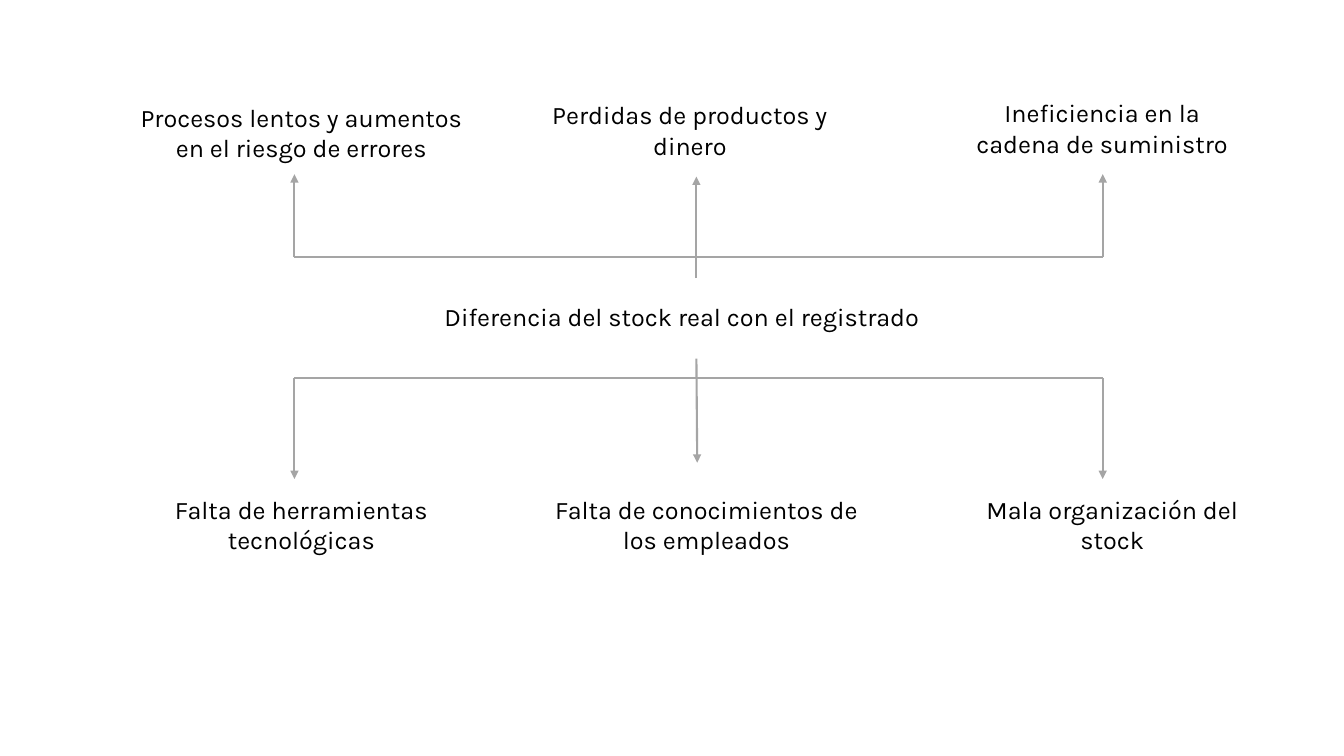
import pptx
import pptx.dml.color
import pptx.enum.shapes
import pptx.enum.text
import pptx.oxml.ns
import pptx.util
from lxml import etree

Cm = pptx.util.Cm
BLACK = pptx.dml.color.RGBColor(0x00, 0x00, 0x00)
GREY = pptx.dml.color.RGBColor(0xA5, 0xA5, 0xA5)
FONT = "Karla"

# Columns of the tree, in centimetres
LEFT_X, MIDDLE_X, RIGHT_X = 7.42, 17.55, 27.79
EFFECTS_BAR_Y, CAUSES_BAR_Y = 6.48, 9.53
CAUSES_TOP = 12.32
LABEL_HEIGHT = 1.8

# Text, left, top, width
EFFECTS = [
    ("Procesos lentos y aumentos en el riesgo de errores", 3.1, 2.46, 8.99),
    ("Perdidas de productos y dinero", 13.46, 2.39, 7.85),
    ("Ineficiencia en la cadena de suministro", 23.98, 2.34, 7.59),
]
CAUSES = [
    ("Falta de herramientas tecnológicas", 3.25, CAUSES_TOP, 8.69),
    ("Falta de conocimientos de los empleados", 13.46, CAUSES_TOP, 8.69),
    ("Mala organización del stock", 24.36, CAUSES_TOP, 7.34),
]

# Start x, start y, end x, end y
ARROWS = [
    (LEFT_X, EFFECTS_BAR_Y, LEFT_X, 4.39),
    (MIDDLE_X, 7.01, MIDDLE_X, 4.45),
    (RIGHT_X, EFFECTS_BAR_Y, RIGHT_X, 4.39),
    (LEFT_X, CAUSES_BAR_Y, LEFT_X, 12.07),
    (MIDDLE_X, 9.04, MIDDLE_X + 0.02, 11.66),
    (RIGHT_X, CAUSES_BAR_Y, RIGHT_X, 12.07),
]
BARS = [
    (LEFT_X, EFFECTS_BAR_Y, 17.63, EFFECTS_BAR_Y),
    (17.65, EFFECTS_BAR_Y, RIGHT_X, EFFECTS_BAR_Y),
    (LEFT_X, CAUSES_BAR_Y, RIGHT_X, CAUSES_BAR_Y),
]


def add_label(slide, text, left, top, width, height=LABEL_HEIGHT,
              alignment=pptx.enum.text.PP_ALIGN.CENTER):
    shape = slide.shapes.add_textbox(Cm(left), Cm(top), Cm(width), Cm(height))
    frame = shape.text_frame
    frame.word_wrap = True
    frame.auto_size = pptx.enum.text.MSO_AUTO_SIZE.SHAPE_TO_FIT_TEXT
    paragraph = frame.paragraphs[0]
    paragraph.alignment = alignment
    run = paragraph.add_run()
    run.text = text
    run.font.name = FONT
    run.font.size = pptx.util.Pt(18)
    run.font.color.rgb = BLACK


def add_line(slide, start_x, start_y, end_x, end_y, arrow=False):
    connector = slide.shapes.add_connector(
        pptx.enum.shapes.MSO_CONNECTOR.STRAIGHT,
        Cm(start_x), Cm(start_y), Cm(end_x), Cm(end_y))
    connector.line.color.rgb = GREY
    connector.line.width = pptx.util.Pt(1.5)
    qualified = pptx.oxml.ns.qn
    if arrow:
        line = connector.line._get_or_add_ln()
        etree.SubElement(line, qualified("a:tailEnd"), type="triangle")
    etree.SubElement(connector._element.spPr, qualified("a:effectLst"))


def main():
    presentation = pptx.Presentation()
    presentation.slide_width = Cm(33.87)
    presentation.slide_height = Cm(19.05)
    slide = presentation.slides.add_slide(presentation.slide_layouts[6])

    # Central problem
    add_label(slide, "Diferencia del stock real con el registrado",
              10.95, 7.47, 13.36, 1.02, pptx.enum.text.PP_ALIGN.LEFT)

    # Effects above, causes below
    for label in EFFECTS + CAUSES:
        add_label(slide, *label)

    # Branches
    for bar in BARS:
        add_line(slide, *bar)
    for arrow in ARROWS:
        add_line(slide, *arrow, arrow=True)

    presentation.save("out.pptx")


if __name__ == "__main__":
    main()
